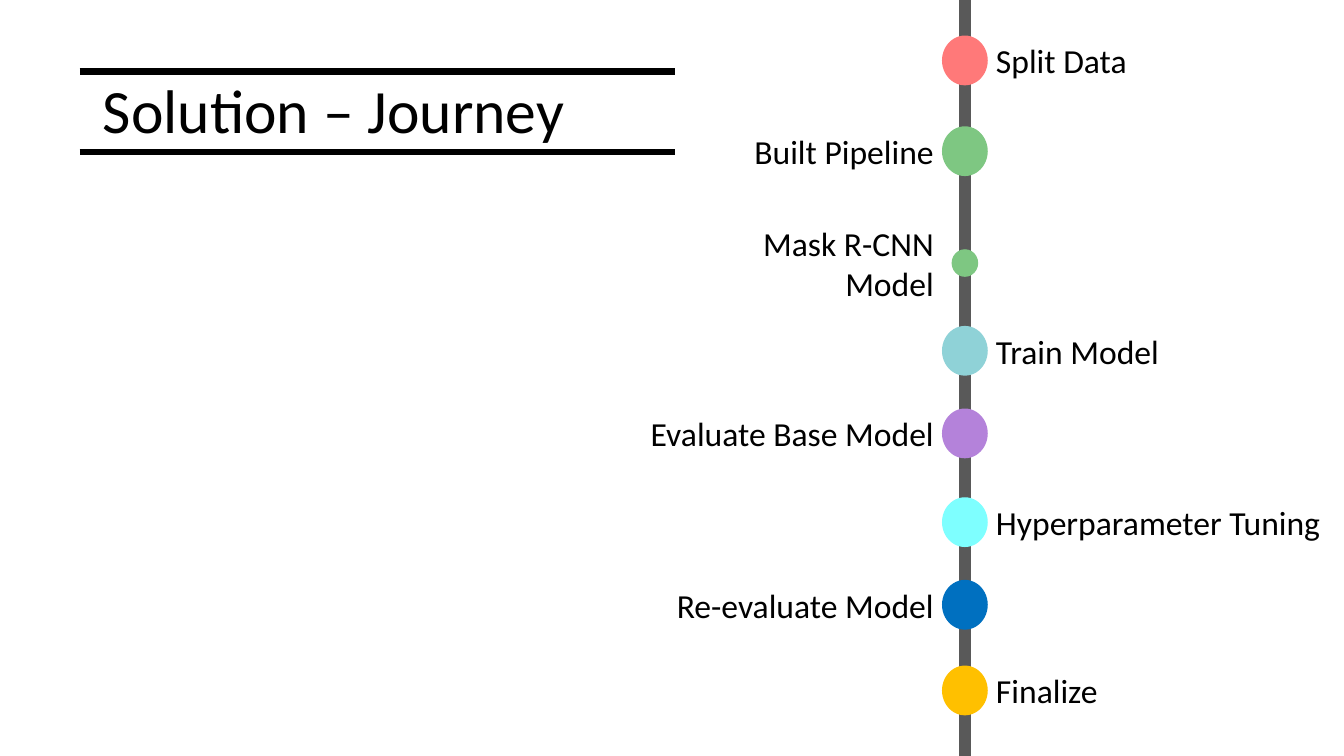
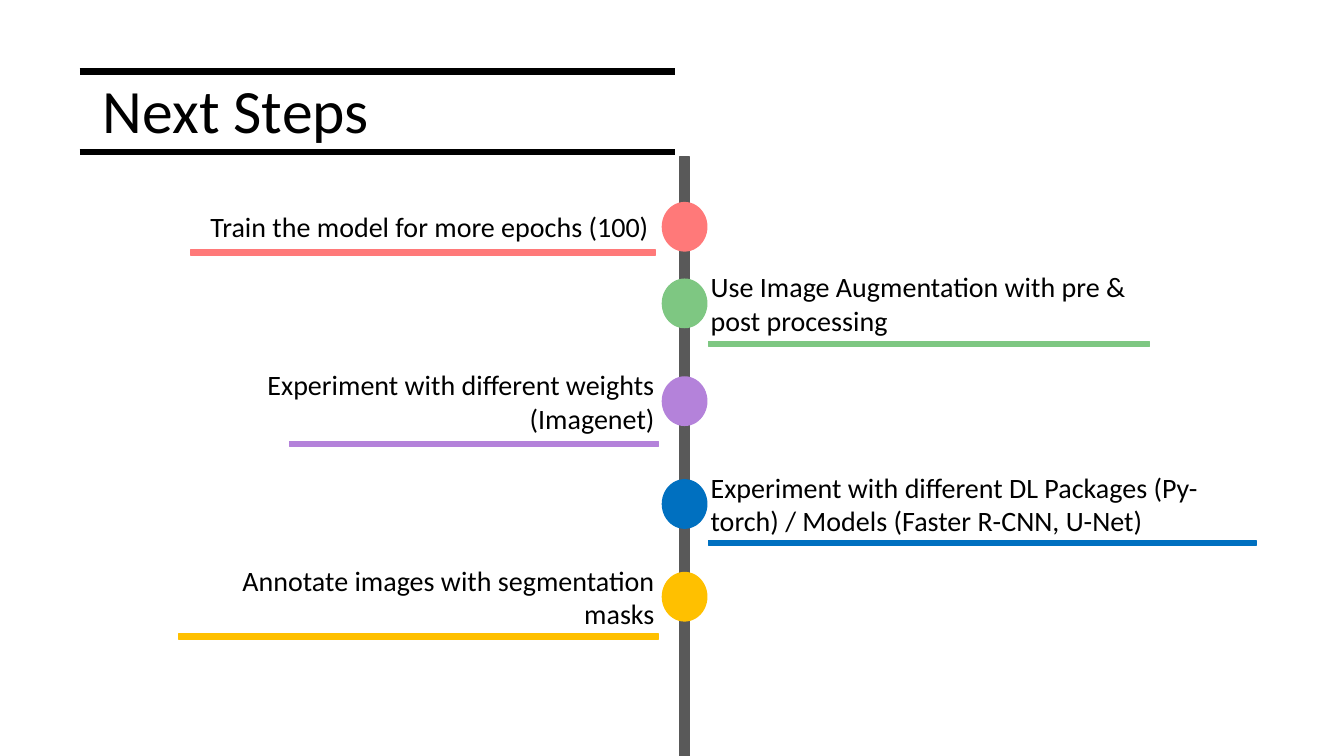
from pptx import Presentation
from pptx.dml.color import RGBColor
from pptx.enum.shapes import MSO_CONNECTOR as Conn, MSO_SHAPE as Kind
from pptx.enum.text import MSO_ANCHOR as Anchor, MSO_AUTO_SIZE as Fit, PP_ALIGN as Align
from pptx.oxml.ns import qn
from pptx.util import Inches, Pt
from lxml import etree

BLACK, GREY = "000000", "595959"
CORAL, GREEN, TEAL, PURPLE = "FF7979", "7EC782", "8FD2D7", "B482DA"
CYAN, BLUE, GOLD = "7EFFFF", "0070C0", "FFC000"
LEFT, RIGHT, MID = Align.RIGHT, Align.LEFT, Align.CENTER


def tint(code):
    return RGBColor.from_string(code)


def apply(item, style):
    for name, value in style.items():
        setattr(item, name, value)


class Deck:
    frame = {"word_wrap": True, "auto_size": Fit.NONE, "vertical_anchor": Anchor.MIDDLE}
    rod = 0.1
    dot = (0.44, 0.48)

    def __init__(self):
        self.file = Presentation()
        apply(self.file, {"slide_width": Inches(13.33), "slide_height": Inches(7.5)})

    def page(self, title):
        self.slide = self.file.slides.add_slide(self.file.slide_layouts[5])
        self.shapes = self.slide.shapes
        for y in (0.71, 1.51):
            self.rule(0.79, y, 6.69)
        head = self.shapes.title
        self.place(head, 0.92, 0.4, 11.5, 1.45)
        self.letter(head, title, 44, Align.LEFT, 0.9)

    def place(self, item, x, y, w, h):
        box = dict(zip(("left", "top", "width", "height"), map(Inches, (x, y, w, h))))
        apply(item, box)

    def letter(self, item, text, size, align, space=1.0):
        frame = item.text_frame
        apply(frame, self.frame)
        frame.text = text
        para = frame.paragraphs[0]
        apply(para, {"alignment": align, "line_spacing": space})
        apply(para.font, {"name": "Calibri", "size": Pt(size)})
        para.font.color.rgb = tint(BLACK)

    def rule(self, x, y, end):
        line = self.shapes.add_connector(
            Conn.STRAIGHT, Inches(x), Inches(y), Inches(end), Inches(y))
        line.line.color.rgb = tint(BLACK)
        line.line.width = Pt(4.5)
        etree.SubElement(line._element.spPr, qn("a:effectLst"))

    def block(self, kind, x, y, w, h, color):
        item = self.shapes.add_shape(kind, *map(Inches, (x, y, w, h)))
        item.shadow.inherit = False
        item.fill.solid()
        item.fill.fore_color.rgb = tint(color)
        item.line.color.rgb = tint(color)
        item.line.width = Pt(1)

    def spine(self, x, top):
        self.axis = x
        self.block(Kind.RECTANGLE, x - self.rod / 2, top, self.rod, 7.5 - top, GREY)

    def node(self, y, color, size=dot):
        w, h = size
        self.block(Kind.OVAL, self.axis - w / 2, y - h / 2, w, h, color)

    def label(self, text, x, y, w, h, size, align):
        box = self.shapes.add_textbox(*map(Inches, (x, y - h / 2, w, h)))
        self.letter(box, text, size, align)

    def bar(self, x, y, w, color):
        self.block(Kind.RECTANGLE, x, y, w, 0.05, color)


def journey(deck):
    deck.page("Solution – Journey")
    deck.spine(9.57, 0)
    small = (0.25, 0.26)
    steps = [
        ("Split Data", 0.6, CORAL, RIGHT, 2.89, 0.5, deck.dot),
        ("Built Pipeline", 1.5, GREEN, LEFT, 2.52, 0.5, deck.dot),
        ("Mask R-CNN Model", 2.61, GREEN, LEFT, 2.52, 0.91, small),
        ("Train Model", 3.48, TEAL, RIGHT, 2.89, 0.5, deck.dot),
        ("Evaluate Base Model", 4.3, PURPLE, LEFT, 3.05, 0.5, deck.dot),
        ("Hyperparameter Tuning", 5.18, CYAN, RIGHT, 3.55, 0.5, deck.dot),
        ("Re-evaluate Model", 6, BLUE, LEFT, 3.05, 0.5, deck.dot),
        ("Finalize", 6.85, GOLD, RIGHT, 3.55, 0.5, deck.dot),
    ]
    for text, y, color, side, w, h, size in steps:
        deck.node(y, color, size)
        x = 9.78 if side == RIGHT else 9.36 - w
        deck.label(text, x, y, w, h, 24, side)


def plans(deck):
    deck.page("Next Steps")
    deck.spine(6.79, 1.56)
    steps = [
        ("Train the model for more epochs (100)",
         2.25, CORAL, MID, 1.65, 5.22, 0.44, 1.89, 2.48, 4.61),
        ("Use Image Augmentation with pre & post processing",
         3.01, GREEN, RIGHT, 6.95, 4.62, 0.77, 7.03, 3.39, 4.37),
        ("Experiment with different weights (Imagenet)",
         3.98, PURPLE, LEFT, 1.77, 4.82, 0.77, 2.87, 4.38, 3.66),
        ("Experiment with different DL Packages (Py-torch) / Models (Faster R-CNN, U-Net)",
         5, BLUE, RIGHT, 6.95, 5.46, 0.77, 7.03, 5.36, 5.43),
        ("Annotate images with segmentation masks",
         5.92, GOLD, LEFT, 1.9, 4.69, 0.77, 1.77, 6.29, 4.76),
    ]
    for text, y, color, side, x, w, h, start, base, span in steps:
        deck.label(text, x, y, w, h, 20, side)
        deck.node(y, color)
        deck.bar(start, base, span, color)


def main():
    deck = Deck()
    journey(deck)
    plans(deck)
    deck.file.save("out.pptx")


if __name__ == "__main__":
    main()
